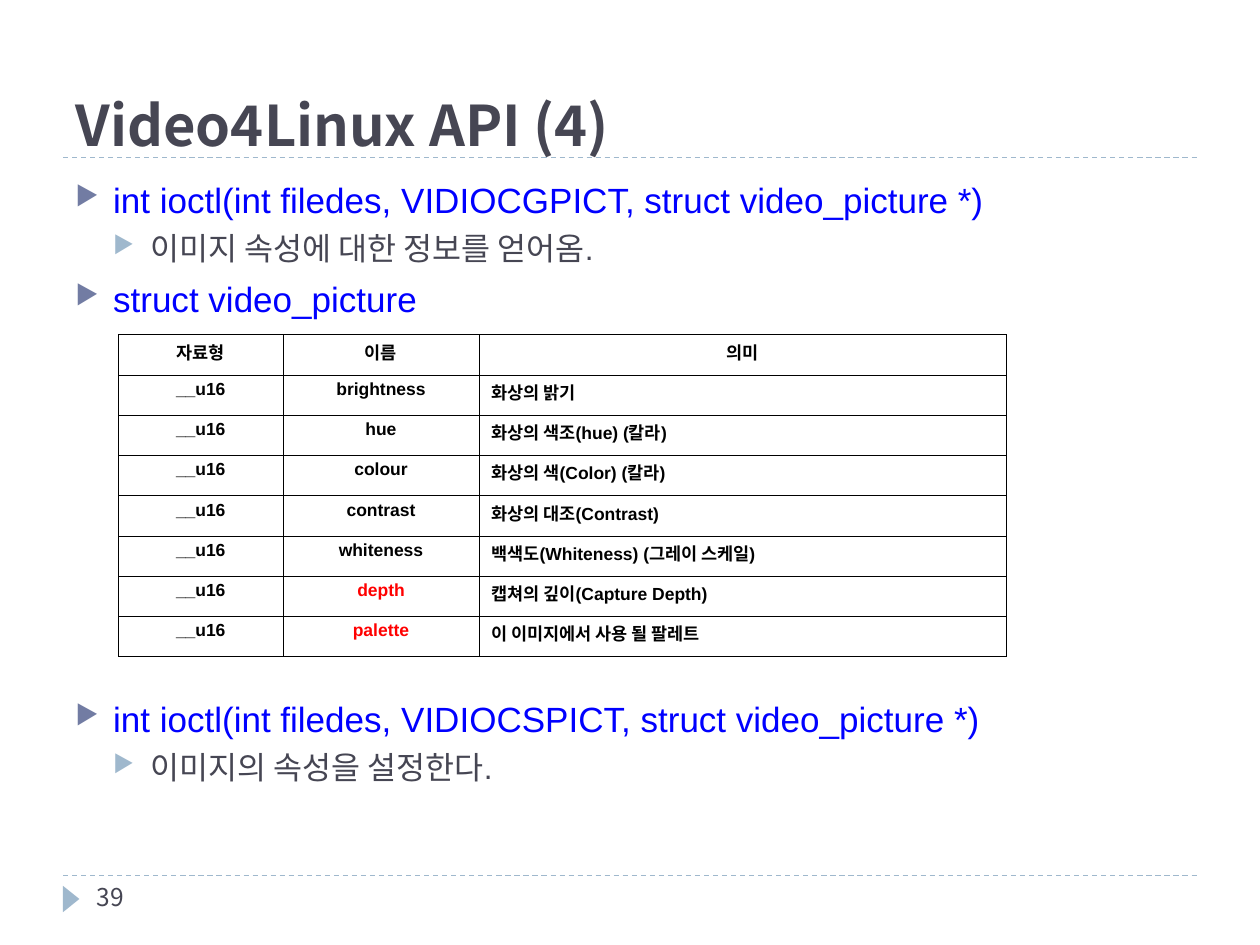
from lxml.etree import SubElement
from pptx import Presentation
from pptx.dml.color import RGBColor
from pptx.enum.dml import MSO_LINE
from pptx.enum.shapes import MSO_CONNECTOR, MSO_SHAPE
from pptx.enum.text import MSO_ANCHOR, MSO_AUTO_SIZE, PP_ALIGN
from pptx.oxml.ns import qn
from pptx.util import Pt

COLORS = {
    "ink": "464653", "code": "0000FF", "bullet": "727CA3", "accent": "9FB8CD",
    "table": "000000", "highlight": "FF0000",
}
LATIN, KOREAN = "Arial", "Noto Sans CJK KR"
# Per outline level: size, text colour, bullet colour, space before
LEVELS = [(20, "code", "bullet", 6), (18, "ink", "accent", 5)]

GET_CALL = [
    (0, "int ioctl(int filedes, VIDIOCGPICT, struct video_picture *)"),
    (1, "이미지 속성에 대한 정보를 얻어옴."),
    (0, "struct video_picture"),
]
SET_CALL = [
    (0, "int ioctl(int filedes, VIDIOCSPICT, struct video_picture *)"),
    (1, "이미지의 속성을 설정한다."),
]
HEADER = ("자료형", "이름", "의미")
FIELDS = [
    ("brightness", "화상의 밝기"),
    ("hue", "화상의 색조(hue) (칼라)"),
    ("colour", "화상의 색(Color) (칼라)"),
    ("contrast", "화상의 대조(Contrast)"),
    ("whiteness", "백색도(Whiteness) (그레이 스케일)"),
    ("depth", "캡쳐의 깊이(Capture Depth)"),
    ("palette", "이 이미지에서 사용 될 팔레트"),
]
HIGHLIGHTED = {"depth", "palette"}


def rgb(name):
    return RGBColor.from_string(COLORS[name])


def format_runs(paragraph, size, color, latin=LATIN, bold=False):
    for run in paragraph.runs:
        font = run.font
        font.name, font.size, font.bold = latin, Pt(size), bold
        font.color.rgb = rgb(color)
        SubElement(run._r.get_or_add_rPr(), qn("a:ea"), typeface=KOREAN)


def add_bullet(paragraph, level, color):
    props = paragraph._p.get_or_add_pPr()
    indent = Pt(21.6)
    props.set("marL", str(indent * (level + 1)))
    props.set("indent", str(-indent))
    bullet_color = SubElement(props, qn("a:buClr"))
    SubElement(bullet_color, qn("a:srgbClr"), val=COLORS[color])
    SubElement(props, qn("a:buSzPct"), val="76000")
    SubElement(props, qn("a:buChar"), char="▶")


def add_rule(slide, left, top, width):
    rule = slide.shapes.add_connector(
        MSO_CONNECTOR.STRAIGHT, Pt(left), Pt(top), Pt(left + width), Pt(top))
    rule.line.color.rgb = rgb("accent")
    rule.line.width = Pt(0.75)
    rule.line.dash_style = MSO_LINE.DASH
    SubElement(rule._element.spPr, qn("a:effectLst"))


def add_title(slide, left, top, width, height):
    add_rule(slide, left, top + height, width)
    title = slide.shapes.title
    title.left, title.top = Pt(left), Pt(top)
    title.width, title.height = Pt(width), Pt(height)
    frame = title.text_frame
    frame.text = "Video4Linux API (4)"
    frame.auto_size = MSO_AUTO_SIZE.NONE
    frame.vertical_anchor = MSO_ANCHOR.BOTTOM
    frame.margin_bottom = 0
    frame.paragraphs[0].alignment = PP_ALIGN.LEFT
    format_runs(frame.paragraphs[0], 32, "ink", KOREAN, bold=True)


def add_outline(slide, items, left, top, width, height):
    frame = slide.shapes.add_textbox(
        Pt(left), Pt(top), Pt(width), Pt(height)).text_frame
    frame.word_wrap = True
    frame.margin_top = Pt(6)
    for index, (level, text) in enumerate(items):
        paragraph = frame.add_paragraph() if index else frame.paragraphs[0]
        size, color, bullet, space = LEVELS[level]
        paragraph.text = text
        paragraph.level = level
        add_bullet(paragraph, level, bullet)
        paragraph.space_before = Pt(space if index else 0)
        format_runs(paragraph, size, color)


def add_borders(cell):
    props = cell._tc.get_or_add_tcPr()
    for position, side in enumerate(("lnL", "lnR", "lnT", "lnB")):
        border = SubElement(props, qn(f"a:{side}"), w=str(Pt(0.45)))
        fill = SubElement(border, qn("a:solidFill"))
        SubElement(fill, qn("a:srgbClr"), val=COLORS["table"])
        props.insert(position, border)


def add_field_table(slide, left, top, column_widths, row_height):
    rows = [HEADER] + [("__u16", name, meaning) for name, meaning in FIELDS]
    table = slide.shapes.add_table(
        len(rows), len(HEADER), Pt(left), Pt(top),
        Pt(sum(column_widths)), Pt(row_height * len(rows))).table
    table.first_row = table.horz_banding = False
    for column, width in zip(table.columns, column_widths):
        column.width = Pt(width)
    for r, texts in enumerate(rows):
        table.rows[r].height = Pt(row_height)
        for c, text in enumerate(texts):
            cell = table.cell(r, c)
            cell.text = text
            cell.fill.background()
            add_borders(cell)
            paragraph = cell.text_frame.paragraphs[0]
            is_meaning = r > 0 and c == 2
            paragraph.alignment = PP_ALIGN.LEFT if is_meaning else PP_ALIGN.CENTER
            paragraph.line_spacing = 0.9
            color = "highlight" if text in HIGHLIGHTED else "table"
            format_runs(paragraph, 10, color, bold=True)


def add_footer(slide, left, top, width, height):
    add_rule(slide, left, top, width)
    # Page marker, a triangle turned to point right
    marker = slide.shapes.add_shape(
        MSO_SHAPE.ISOSCELES_TRIANGLE,
        Pt(left - 2.9), Pt(top + 8.6), Pt(15.1), Pt(9.4))
    marker.rotation = 90
    marker.shadow.inherit = False
    marker.fill.solid()
    marker.fill.fore_color.rgb = rgb("accent")
    marker.line.fill.background()
    # Page number
    frame = slide.shapes.add_textbox(
        Pt(left + 12.2), Pt(top), Pt(156), Pt(height)).text_frame
    frame.word_wrap = True
    frame.text = "39"
    format_runs(frame.paragraphs[0], 14, "ink", KOREAN)


def main():
    presentation = Presentation()
    presentation.slide_width, presentation.slide_height = Pt(720), Pt(540)
    slide = presentation.slides.add_slide(presentation.slide_layouts[5])
    left, width = 36, 648
    add_title(slide, left, 12, width, 78)
    add_outline(slide, GET_CALL, left, 95.8, width, 92)
    add_field_table(slide, 67.7, 191.3, (94, 112, 301.5), 23)
    add_outline(slide, SET_CALL, left, 392.4, width, 92)
    add_footer(slide, left, 500.4, width, 28.8)
    presentation.save("out.pptx")


if __name__ == "__main__":
    main()
